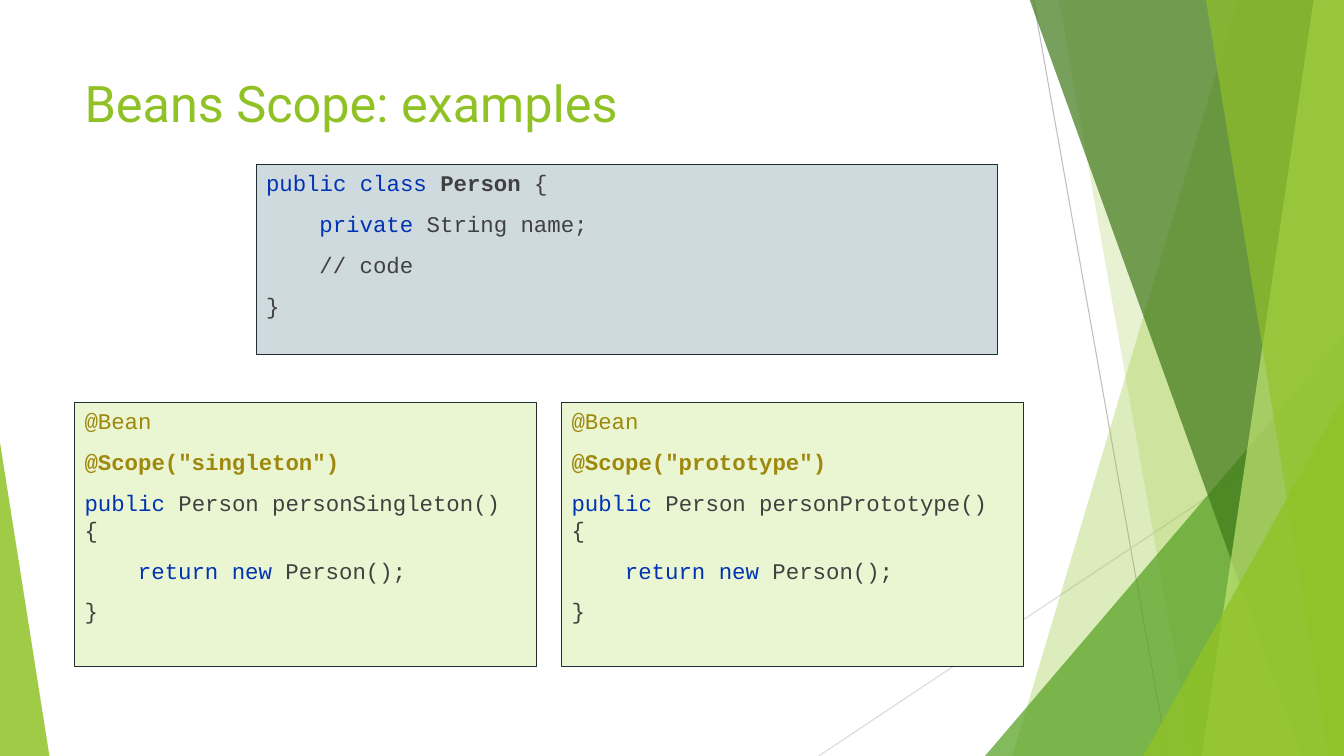
from lxml import etree
from pptx import Presentation
from pptx.dml.color import RGBColor
from pptx.enum.shapes import MSO_CONNECTOR as Connector, MSO_SHAPE as Preset
from pptx.enum.text import MSO_ANCHOR as Anchor, PP_ALIGN as Align
from pptx.oxml.ns import qn
from pptx.util import Inches, Pt

WIDTH, HEIGHT = 13.33, 7.5
BLEED = -0.01
COLOURS = {
    "lime": "90C226", "green": "54A021", "forest": "3F7819", "pale": "C0E474",
    "steel": "BFBFBF", "silver": "D9D9D9", "outline": "212D32",
    "class_fill": "CFDADF", "bean_fill": "EAF6D1",
    "annotation": "9E880D", "keyword": "0033B3", "plain": "404040",
}
TITLE = "Beans Scope: examples"

# Each code line: indent level, then spans of (text, colour, bold)
PERSON_CODE = [
    (0, [("public class ", "keyword", False), ("Person", "plain", True), (" {", "plain", False)]),
    (1, [("private", "keyword", False), (" String name;", "plain", False)]),
    (1, [("// code", "plain", False)]),
    (0, [("}", "plain", False)]),
]
SCOPES = [("singleton", "personSingleton"), ("prototype", "personPrototype")]

# Start x, start y, end x, end y, colour
RAYS = [(10.25, 0, 11.58, HEIGHT, "steel"), (WIDTH, 4.03, 8.12, HEIGHT, "silver")]
# Facets reach the right edge: top x, bottom x, colour, opacity
# Corners stand on the bottom edge: left, top, width, apex, colour, opacity
DECOR = [
    ("facet", 12.28, 10.04, "lime", 30),
    ("facet", 10.5, 11.83, "lime", 20),
    ("corner", 9.77, 3.33, 3.56, 1, "green", 72),
    ("facet", 10.21, 12.91, "forest", 70),
    ("facet", 13.03, 11.92, "pale", 70),
    ("facet", 11.96, 13.18, "lime", 65),
    ("corner", 11.34, 3.93, 1.99, 1, "lime", 80),
    ("corner", 0, 4.39, 0.49, 0, "lime", 85),
]


def rgb(name):
    """Return the named colour."""
    return RGBColor.from_string(COLOURS[name])


def bean_code(scope, method):
    """Return the code lines of a bean method with the given scope."""
    return [
        (0, [("@Bean", "annotation", False)]),
        (0, [(f'@Scope("{scope}")', "annotation", True)]),
        (0, [("public", "keyword", False), (f" Person {method}() {{", "plain", False)]),
        (1, [("return new", "keyword", False), (" Person();", "plain", False)]),
        (0, [("}", "plain", False)]),
    ]


def add_ray(page, x1, y1, x2, y2, colour):
    """Draw a thin line without a shadow."""
    ray = page.shapes.add_connector(
        Connector.STRAIGHT, Inches(x1), Inches(y1), Inches(x2), Inches(y2))
    ray.line.color.rgb = rgb(colour)
    ray.line.width = Pt(0.75)
    etree.SubElement(ray._element.spPr, qn("a:effectLst"))


def paint(shape, colour, opacity):
    """Give a shape a translucent fill and no outline."""
    shape.shadow.inherit = False
    shape.fill.solid()
    shape.fill.fore_color.rgb = rgb(colour)
    shape.line.fill.background()
    tint = shape._element.spPr.find(qn("a:solidFill"))[0]
    etree.SubElement(tint, qn("a:alpha"), val=str(opacity * 1000))


def add_facet(page, top, bottom, colour, opacity):
    """Draw a slanted facet that runs to the right edge."""
    builder = page.shapes.build_freeform(Inches(top), Inches(BLEED))
    corners = [(WIDTH, BLEED), (WIDTH, HEIGHT), (bottom, HEIGHT)]
    builder.add_line_segments([(Inches(x), Inches(y)) for x, y in corners])
    paint(builder.convert_to_shape(), colour, opacity)


def add_corner(page, left, top, width, apex, colour, opacity):
    """Draw a right triangle that stands on the bottom edge."""
    corner = page.shapes.add_shape(
        Preset.ISOSCELES_TRIANGLE, Inches(left), Inches(top),
        Inches(width), Inches(HEIGHT - top))
    corner.adjustments[0] = apex
    paint(corner, colour, opacity)


def add_span(para, text, font, size, colour, bold=False):
    """Append one formatted run."""
    span = para.add_run()
    span.text = text
    span.font.name = font
    span.font.size = Pt(size)
    span.font.bold = bold
    span.font.color.rgb = rgb(colour)


def add_title(page):
    """Write the slide title."""
    box = page.shapes.add_textbox(Inches(0.74), Inches(0.67), Inches(9.4), Inches(1.44))
    box.text_frame.word_wrap = True
    add_span(box.text_frame.paragraphs[0], TITLE, "Roboto", 36, "lime")


def add_code(page, left, top, width, height, fill, lines):
    """Draw an outlined panel with coloured code."""
    panel = page.shapes.add_shape(
        Preset.RECTANGLE, Inches(left), Inches(top), Inches(width), Inches(height))
    panel.shadow.inherit = False
    panel.fill.solid()
    panel.fill.fore_color.rgb = rgb(fill)
    panel.line.color.rgb = rgb("outline")
    panel.line.width = Pt(0.75)
    frame = panel.text_frame
    frame.word_wrap = True
    frame.vertical_anchor = Anchor.TOP
    for number, (level, spans) in enumerate(lines):
        para = frame.add_paragraph() if number else frame.paragraphs[0]
        para.alignment = Align.LEFT
        para.space_before = Pt(10)
        para._p.get_or_add_pPr().set("marL", str(Inches(0.53 * level)))
        for text, colour, bold in spans:
            add_span(para, text, "Courier New", 16, colour, bold)


deck = Presentation()
deck.slide_width, deck.slide_height = Inches(WIDTH), Inches(HEIGHT)
page = deck.slides.add_slide(deck.slide_layouts[6])

for ray in RAYS:
    add_ray(page, *ray)
draw = {"facet": add_facet, "corner": add_corner}
for kind, *details in DECOR:
    draw[kind](page, *details)

add_title(page)
for column, (scope, method) in enumerate(SCOPES):
    add_code(page, 0.74 + 4.83 * column, 3.99, 4.58, 2.62, "bean_fill", bean_code(scope, method))
add_code(page, 2.54, 1.63, 7.35, 1.89, "class_fill", PERSON_CODE)

deck.save("out.pptx")
